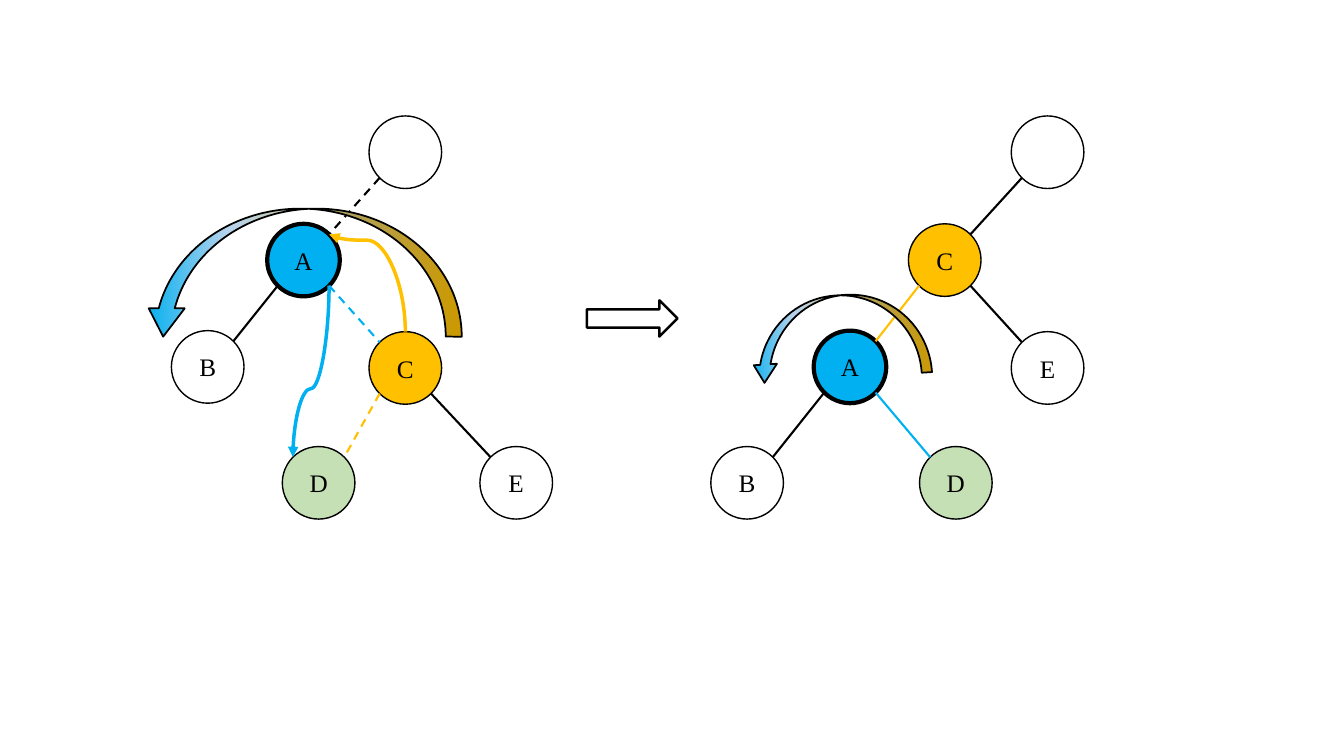
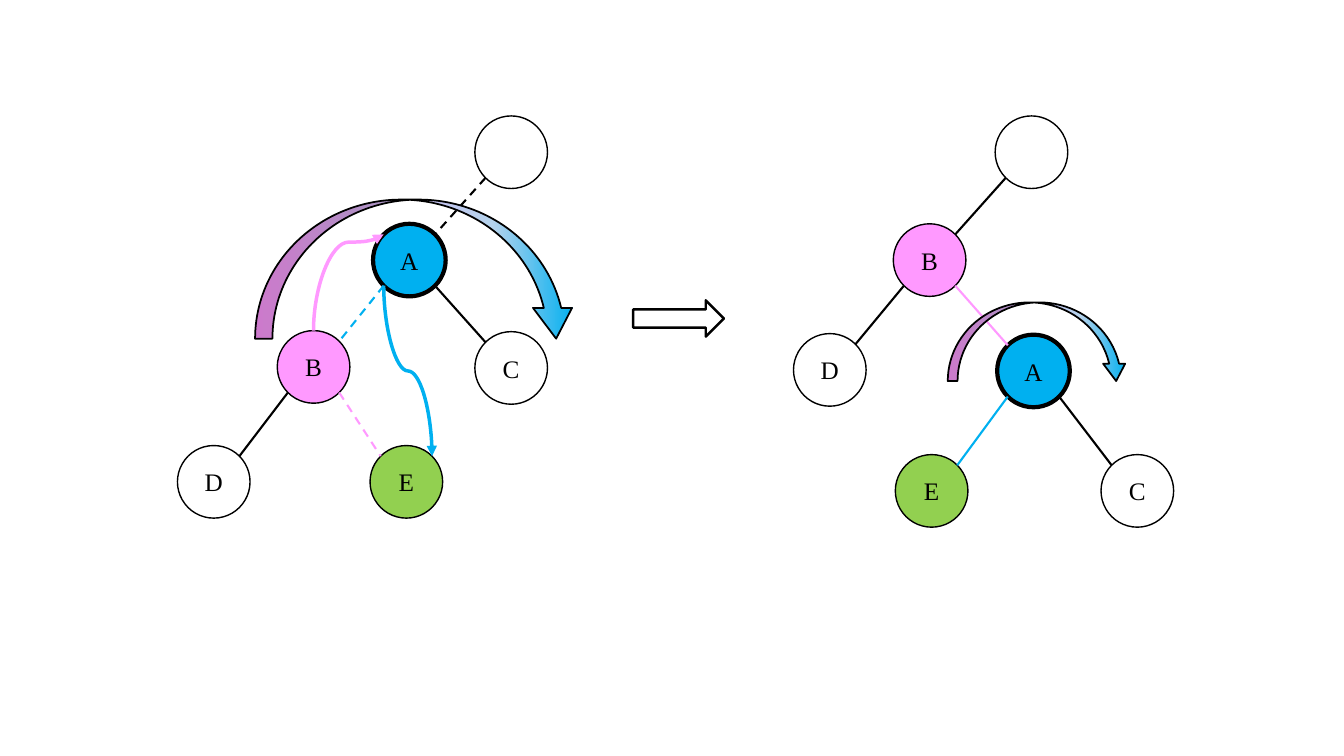
from copy import deepcopy
from math import cos, pi, sin

from lxml import etree
from pptx import Presentation
from pptx.dml.color import RGBColor
from pptx.enum.dml import MSO_LINE
from pptx.enum.shapes import MSO_CONNECTOR, MSO_SHAPE
from pptx.enum.text import MSO_ANCHOR, PP_ALIGN
from pptx.oxml.ns import qn
from pptx.util import Emu, Pt

OVAL, RIGHT_ARROW = MSO_SHAPE.OVAL, MSO_SHAPE.RIGHT_ARROW
CURVED_ARROW = MSO_SHAPE.CURVED_DOWN_ARROW
STRAIGHT, CURVE = MSO_CONNECTOR.STRAIGHT, MSO_CONNECTOR.CURVE
DASH = MSO_LINE.DASH
CENTER, MIDDLE = PP_ALIGN.CENTER, MSO_ANCHOR.MIDDLE

PX = 9144
SLIDE_W, SLIDE_H = 1333, 750
NODE = 72
FONT = "Times New Roman"
BLACK, BLUE, MIST = "000000", "00B0F0", "B5D2EC"
GOLD, PINK, SAGE, GREEN = "FFC000", "FF99FF", "C5E0B4", "92D050"
TOP, TOP_LEFT, BOTTOM_LEFT, BOTTOM_RIGHT, TOP_RIGHT = 0, 1, 3, 5, 7
ROOT = ""

SLIDES = [
    {
        "pivot": GOLD,
        "arrow": (582, 298, 90, 36),
        "trees": [
            {
                "nodes": {ROOT: (366, 115, None), "A": (265, 222, BLUE), "B": (170, 328, None),
                          "C": (366, 329, GOLD), "D": (280, 443, SAGE), "E": (476, 443, None)},
                "edges": [(ROOT, "A", BLACK, True), ("A", "B", BLACK, False), ("A", "C", BLUE, True),
                          ("C", "D", GOLD, True), ("C", "E", BLACK, False)],
                "curves": [("C", TOP, "A", TOP_RIGHT, GOLD, 0.94),
                           ("A", BOTTOM_RIGHT, "D", TOP_LEFT, BLUE, 0.6)],
                "turn": (144, 207, 314, 127, True, 0),
            },
            {
                "nodes": {ROOT: (1003, 115, None), "C": (901, 222, GOLD), "A": (807, 328, BLUE),
                          "E": (1003, 329, None), "B": (705, 443, None), "D": (912, 443, SAGE)},
                "edges": [(ROOT, "C", BLACK, False), ("C", "A", GOLD, False), ("C", "E", BLACK, False),
                          ("A", "B", BLACK, False), ("A", "D", BLUE, False)],
                "curves": [],
                "turn": (744, 293, 178, 82, True, 356.3),
            },
        ],
    },
    {
        "pivot": PINK,
        "arrow": (628, 298, 90, 36),
        "trees": [
            {
                "nodes": {ROOT: (471, 115, None), "A": (370, 222, BLUE), "B": (275, 328, PINK),
                          "C": (471, 329, None), "D": (176, 442, None), "E": (367, 442, GREEN)},
                "edges": [(ROOT, "A", BLACK, True), ("A", "B", BLUE, True), ("A", "C", BLACK, False),
                          ("B", "D", BLACK, False), ("B", "E", PINK, True)],
                "curves": [("B", TOP, "A", TOP_LEFT, PINK, 0.92),
                           ("A", BOTTOM_LEFT, "E", TOP_RIGHT, BLUE, 0.5)],
                "turn": (253, 198, 318, 138, False, 0),
            },
            {
                "nodes": {ROOT: (987, 115, None), "B": (886, 222, PINK), "D": (787, 331, None),
                          "A": (989, 332, BLUE), "E": (888, 451, GREEN), "C": (1092, 451, None)},
                "edges": [(ROOT, "B", BLACK, False), ("B", "D", BLACK, False), ("B", "A", PINK, False),
                          ("A", "E", BLUE, False), ("A", "C", BLACK, False)],
                "curves": [],
                "turn": (940, 300, 178, 78, False, 0),
            },
        ],
    },
]


def px(n):
    return Emu(round(n * PX))


def rgb(value):
    return RGBColor.from_string(value)


def set_line(line, color, width, dashed=False):
    line.color.rgb = rgb(color)
    line.width = Pt(width)
    if dashed:
        line.dash_style = DASH


def add_text(sp, text, size=18, font=FONT, color=BLACK):
    tf = sp.text_frame
    tf.vertical_anchor = MIDDLE
    p = tf.paragraphs[0]
    p.alignment = CENTER
    r = p.add_run()
    r.text = text
    r.font.size, r.font.name = Pt(size), font
    r.font.color.rgb = rgb(color)


def add_outline(s, kind, box, width, fill=None):
    sp = s.shapes.add_shape(kind, *map(px, box))
    sp.shadow.inherit = False
    if fill:
        sp.fill.solid()
        sp.fill.fore_color.rgb = rgb(fill)
    else:
        sp.fill.background()
    set_line(sp.line, BLACK, width)
    return sp


def add_node(s, label, x, y, fill):
    sp = add_outline(s, OVAL, (x, y, NODE, NODE), 3 if label == "A" else 1, fill)
    if label:
        add_text(sp, label)
    return sp


def site_point(node, site):
    angle = pi / 2 + site * pi / 4
    r = NODE / 2
    return node[0] + r + r * cos(angle), node[1] + r - r * sin(angle)


def add_link(s, kind, ends, color, width, dashed=False):
    cxn = s.shapes.add_connector(kind, *map(px, ends))
    set_line(cxn.line, color, width, dashed)
    etree.SubElement(cxn._element.spPr, qn("a:effectLst"))
    return cxn


def add_edge(s, nodes, shapes, parent, child, color, dashed):
    left = nodes[child][0] < nodes[parent][0]
    sites = (BOTTOM_LEFT, TOP_RIGHT) if left else (BOTTOM_RIGHT, TOP_LEFT)
    ends = site_point(nodes[parent], sites[0]) + site_point(nodes[child], sites[1])
    cxn = add_link(s, STRAIGHT, ends, color, 1.5, dashed)
    glue = cxn._element.nvCxnSpPr.cNvCxnSpPr
    for tag, name, site in zip(("a:stCxn", "a:endCxn"), (parent, child), sites):
        etree.SubElement(glue, qn(tag), id=str(shapes[name].shape_id), idx=str(site))


def add_curve(s, nodes, start, start_site, end, end_site, color, bend):
    x1, y1 = site_point(nodes[start], start_site)
    x2, y2 = site_point(nodes[end], end_site)
    cx, cy = (x1 + x2) / 2, (y1 + y2) / 2
    half_w, half_h = abs(y2 - y1) / 2, abs(x2 - x1) / 2
    ends = (cx - half_w, cy - half_h, cx + half_w, cy + half_h)
    cxn = add_link(s, CURVE, ends, color, 2.5)
    xfrm = cxn._element.spPr.find(qn("a:xfrm"))
    xfrm.set("rot", str(270 * 60000))
    if y2 > y1:
        xfrm.set("flipH", "1")
    if x2 < x1:
        xfrm.set("flipV", "1")
    guides = cxn._element.spPr.find(qn("a:prstGeom")).find(qn("a:avLst"))
    etree.SubElement(guides, qn("a:gd"), name="adj1", fmla=f"val {round(bend * 100000)}")
    etree.SubElement(cxn.line._get_or_add_ln(), qn("a:tailEnd"), type="triangle")


def add_turn(s, x, y, w, h, flipped, rotation, pivot):
    sp = add_outline(s, CURVED_ARROW, (x, y, w, h), 1.25)
    for i, value in enumerate((0.125, 0.281, 0.221)):
        sp.adjustments[i] = value
    sp.rotation = rotation
    if flipped:
        sp._element.spPr.find(qn("a:xfrm")).set("flipH", "1")
    sp.fill.gradient()
    sp.fill.gradient_angle = 0
    stops = sp._element.spPr.find(qn("a:gradFill")).find(qn("a:gsLst"))
    stops.append(deepcopy(stops[0]))
    colors = ((0, pivot), (0.74, MIST), (1, BLUE))
    for stop, (position, color) in zip(sp.fill.gradient_stops, colors):
        stop.position = position
        stop.color.rgb = rgb(color)


def add_tree(s, tree, pivot):
    nodes = tree["nodes"]
    shapes = {label: add_node(s, label, *node) for label, node in nodes.items()}
    for edge in tree["edges"]:
        add_edge(s, nodes, shapes, *edge)
    for curve in tree["curves"]:
        add_curve(s, nodes, *curve)
    add_turn(s, *tree["turn"], pivot)


def main():
    prs = Presentation()
    prs.slide_width, prs.slide_height = px(SLIDE_W), px(SLIDE_H)
    for content in SLIDES:
        s = prs.slides.add_slide(prs.slide_layouts[6])
        for tree in content["trees"]:
            add_tree(s, tree, content["pivot"])
        add_outline(s, RIGHT_ARROW, content["arrow"], 1.75)
    prs.save("out.pptx")


if __name__ == "__main__":
    main()
